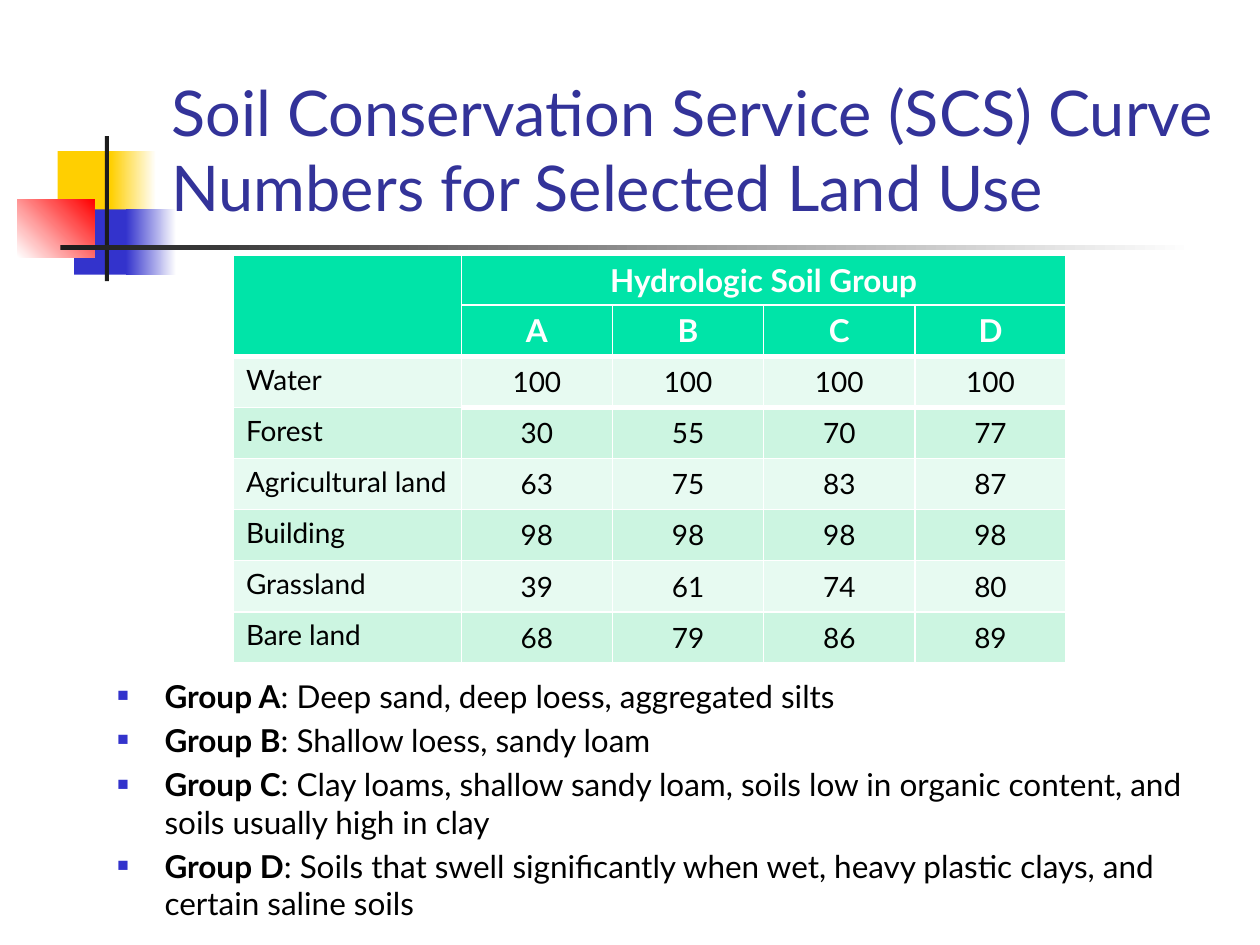
from dataclasses import dataclass

from lxml import etree
from pptx import Presentation
from pptx.dml.color import RGBColor
from pptx.enum.shapes import MSO_SHAPE
from pptx.enum.text import MSO_ANCHOR, MSO_AUTO_SIZE, PP_ALIGN
from pptx.oxml.ns import qn
from pptx.util import Pt

RECT = MSO_SHAPE.RECTANGLE
TOP, MIDDLE, BOTTOM = MSO_ANCHOR.TOP, MSO_ANCHOR.MIDDLE, MSO_ANCHOR.BOTTOM
LEFT, CENTER = PP_ALIGN.LEFT, PP_ALIGN.CENTER
NO_FIT = MSO_AUTO_SIZE.NONE


@dataclass(frozen=True)
class Theme:
    """Colours and type sizes of the slide."""
    font: str = "Lato"
    title: str = "333399"
    text: str = "000000"
    white: str = "FFFFFF"
    yellow: str = "FFCF01"
    blue: str = "3333CC"
    red: str = "FF0000"
    dark: str = "1C1C1C"
    header: str = "00E4A8"
    bands: tuple = ("E7FAF1", "CCF5E1")
    title_size: int = 36
    body_size: int = 18
    cell_size: int = 16


THEME = Theme()
GROUPS = ["A", "B", "C", "D"]
CURVE_NUMBERS = {
    "Water": [100, 100, 100, 100],
    "Forest": [30, 55, 70, 77],
    "Agricultural land": [63, 75, 83, 87],
    "Building": [98, 98, 98, 98],
    "Grassland": [39, 61, 74, 80],
    "Bare land": [68, 79, 86, 89],
}
SOILS = [
    "Deep sand, deep loess, aggregated silts",
    "Shallow loess, sandy loam",
    "Clay loams, shallow sandy loam, soils low in organic content, "
    "and soils usually high in clay",
    "Soils that swell significantly when wet, heavy plastic clays, "
    "and certain saline soils",
]


def assign(obj, values):
    """Set each attribute named in values."""
    for name, value in values.items():
        setattr(obj, name, value)


def place(sp, box):
    """Move a shape to a box given in points."""
    assign(sp, dict(zip(("left", "top", "width", "height"), map(Pt, box))))


def add_run(p, text, size, color, bold=False):
    """Append a formatted run."""
    r = p.add_run()
    r.text = text
    assign(r.font, {"name": THEME.font, "size": Pt(size), "bold": bold})
    r.font.color.rgb = RGBColor.from_string(color)


def add_block(slide, box, colors, angle=0):
    """Add a plain or graded rectangle behind the title."""
    sp = slide.shapes.add_shape(RECT, *map(Pt, box))
    sp.shadow.inherit = False
    sp.line.fill.background()
    if len(colors) == 1:
        sp.fill.solid()
        sp.fill.fore_color.rgb = RGBColor.from_string(colors[0])
    else:
        sp.fill.gradient()
        sp.fill.gradient_angle = angle
        for stop, color, position in zip(sp.fill.gradient_stops, colors, (0, 1)):
            stop.color.rgb = RGBColor.from_string(color)
            stop.position = position
    slide.shapes.title.element.addprevious(sp.element)


def add_ornament(slide, box):
    """Draw the coloured blocks and the crossing rules."""
    x, y, w, h = box
    t = THEME
    add_block(slide, (x + 23, y + 8.6, 34.6, 37.4), [t.yellow])
    add_block(slide, (x + 53.3, y + 8.6, 25.9, 37.4), [t.yellow, t.white])
    add_block(slide, (x + 32.4, y + 41.8, 33.1, 37.4), [t.blue])
    add_block(slide, (x + 62, y + 41.8, 28.8, 37.4), [t.blue, t.white])
    add_block(slide, (x, y + 36, 44, 33.1), [t.white, t.red], 45)
    add_block(slide, (x + 49.9, y, 2.3, h), [t.dark])
    add_block(slide, (x + 24.5, y + 62.4, w - 24.5, 2.5), [t.dark, t.white])


def fill_title(slide, box):
    """Place and write the title."""
    sp = slide.shapes.title
    place(sp, box)
    tf = sp.text_frame
    assign(tf, {"vertical_anchor": BOTTOM, "word_wrap": True, "auto_size": NO_FIT})
    p = tf.paragraphs[0]
    p.alignment = LEFT
    add_run(p, "Soil Conservation Service (SCS) Curve Numbers for Selected Land Use",
            THEME.title_size, THEME.title)


def add_bullet(p):
    """Give a paragraph a small square bullet and a hanging indent."""
    pPr = p._p.get_or_add_pPr()
    pPr.set("marL", str(Pt(27)))
    pPr.set("indent", str(-Pt(27)))
    color = etree.SubElement(pPr, qn("a:buClr"))
    etree.SubElement(color, qn("a:srgbClr"), val=THEME.blue)
    etree.SubElement(pPr, qn("a:buSzPct"), val="60000")
    etree.SubElement(pPr, qn("a:buChar"), char="■")


def fill_groups(slide, box):
    """Place the body and list the soil groups."""
    sp = slide.placeholders[1]
    place(sp, box)
    tf = sp.text_frame
    assign(tf, {"vertical_anchor": TOP, "word_wrap": True, "auto_size": NO_FIT})
    for i, (group, soil) in enumerate(zip(GROUPS, SOILS)):
        p = tf.add_paragraph() if i else tf.paragraphs[0]
        add_bullet(p)
        p.space_before = Pt(0.2 * THEME.body_size if i else 0)
        add_run(p, f"Group {group}", THEME.body_size, THEME.text, True)
        add_run(p, f": {soil}", THEME.body_size, THEME.text)


def format_cell(cell, fill, top=1, bottom=1):
    """Draw the white borders of a cell and fill it."""
    tcPr = cell._tc.get_or_add_tcPr()
    for side, width in (("L", 1), ("R", 1), ("T", top), ("B", bottom)):
        ln = etree.SubElement(tcPr, qn(f"a:ln{side}"), w=str(Pt(width)))
        solid = etree.SubElement(ln, qn("a:solidFill"))
        etree.SubElement(solid, qn("a:srgbClr"), val=THEME.white)
    cell.fill.solid()
    cell.fill.fore_color.rgb = RGBColor.from_string(fill)


def write_cell(cell, text, size, color, align, bold=False):
    """Write one aligned run into a cell."""
    p = cell.text_frame.paragraphs[0]
    p.alignment = align
    add_run(p, text, size, color, bold)


def add_curve_table(slide, box):
    """Add the table of curve numbers by land use and soil group."""
    x, y, w, h = box
    n_rows, n_cols = len(CURVE_NUMBERS) + 2, len(GROUPS) + 1
    label_w, head_h = 130.2, 28.5
    tbl = slide.shapes.add_table(n_rows, n_cols, *map(Pt, box)).table
    assign(tbl, {"first_row": False, "horz_banding": False})
    for i, col in enumerate(tbl.columns):
        col.width = Pt((w - label_w) / len(GROUPS) if i else label_w)
    for i, row in enumerate(tbl.rows):
        row.height = Pt(head_h if i < 2 else (h - 2 * head_h) / len(CURVE_NUMBERS))
    for i in range(2):
        for j in range(n_cols):
            format_cell(tbl.cell(i, j), THEME.header, bottom=3 if i or not j else 1)
    tbl.cell(0, 0).merge(tbl.cell(1, 0))
    tbl.cell(0, 1).merge(tbl.cell(0, n_cols - 1))
    heads = [(0, 1, "Hydrologic Soil Group")]
    heads += [(1, j, group) for j, group in enumerate(GROUPS, 1)]
    for i, j, text in heads:
        write_cell(tbl.cell(i, j), text, THEME.body_size, THEME.white, CENTER, True)
    for i, (land, numbers) in enumerate(CURVE_NUMBERS.items()):
        for j, value in enumerate([land, *numbers]):
            cell = tbl.cell(i + 2, j)
            format_cell(cell, THEME.bands[i % 2], 3 if i == 0 or (i == 1 and j) else 1,
                        3 if i == 0 and j else 1)
            write_cell(cell, str(value), THEME.cell_size, THEME.text,
                       CENTER if j else LEFT)
            if j:
                assign(cell, {"vertical_anchor": MIDDLE, "margin_left": Pt(5),
                              "margin_right": Pt(5), "margin_top": 0,
                              "margin_bottom": 0})


def main():
    """Build and save the slide."""
    prs = Presentation()
    assign(prs, {"slide_width": Pt(720), "slide_height": Pt(540)})
    slide = prs.slides.add_slide(prs.slide_layouts[1])
    add_ornament(slide, (10, 77.8, 672.6, 82.8))
    fill_title(slide, (90.7, 16.6, 629.3, 115.2))
    fill_groups(slide, (59.8, 383, 660.2, 158.4))
    add_curve_table(slide, (133.4, 145.6, 475.8, 232.3))
    prs.save("out.pptx")


if __name__ == "__main__":
    main()
